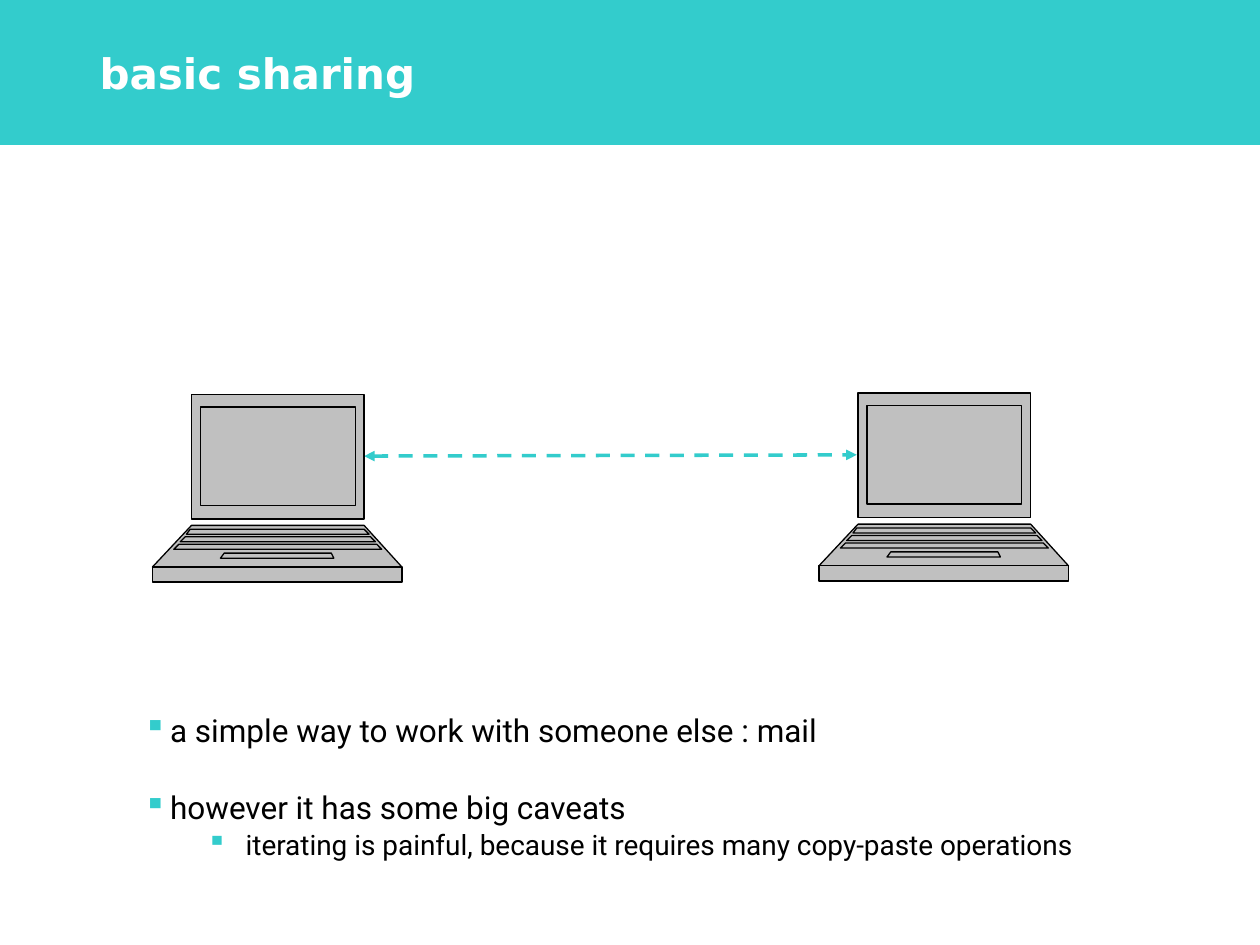
import copy

import pptx
import pptx.dml.color
import pptx.enum.dml
import pptx.enum.shapes
import pptx.enum.text
import pptx.oxml.ns
import pptx.util
from lxml import etree

Inches = pptx.util.Inches
Pt = pptx.util.Pt
qn = pptx.oxml.ns.qn

COLORS = {"accent": "33CCCC", "casing": "C0C0C0", "ink": "000000", "paper": "FFFFFF"}

LAPTOP_PANELS = {
    "screen": (0, 0.99, 0.31, 1.68, 0.31, 1.68),
    "deck": (1.04, 1.37, 0.31, 1.68, 0, 1.98),
    "base": (1.37, 1.49, 0, 1.98, 0, 1.98),
    "display": (0.1, 0.88, 0.38, 1.61, 0.38, 1.61),
    "top keys": (1.07, 1.11, 0.3, 1.68, 0.27, 1.72),
    "touchpad": (1.26, 1.3, 0.57, 1.42, 0.54, 1.44),
    "middle keys": (1.13, 1.17, 0.26, 1.73, 0.22, 1.77),
    "bottom keys": (1.19, 1.23, 0.21, 1.78, 0.17, 1.82),
}
LAPTOPS = [(1.21, 3.13), (6.5, 3.12)]

BULLETS = [
    ("a simple way to work with someone else : mail", 0, 22.8),
    ("however it has some big caveats", 0, 0.6),
    ("iterating is painful, because it requires many copy-paste operations", 1, 0),
]
BULLET_LEVELS = [(18, 0.21, -0.21), (16, 0.81, -0.31)]


def rgb(name):
    """Return the named palette colour."""
    return pptx.dml.color.RGBColor.from_string(COLORS[name])


class SlideBuilder:
    """Draws styled elements on the current slide."""

    def __init__(self, slide):
        """Keep the slide and its fonts."""
        self.slide = slide
        self.title_font = "DejaVu Sans"
        self.body_font = "Roboto"

    def clear_margins(self, frame):
        """Remove insets and automatic fitting from a text frame."""
        frame.margin_left = frame.margin_right = 0
        frame.margin_top = frame.margin_bottom = 0
        frame.word_wrap = True
        frame.auto_size = pptx.enum.text.MSO_AUTO_SIZE.NONE

    def styled_run(self, paragraph, text, font_name, size, color, bold=False):
        """Add one formatted run."""
        run = paragraph.add_run()
        run.text = text
        run.font.name = font_name
        run.font.size = Pt(size)
        run.font.bold = bold
        run.font.color.rgb = rgb(color)

    def indent(self, paragraph, margin, first_line):
        """Set the left margin and first line indent."""
        properties = paragraph._p.get_or_add_pPr()
        properties.set("marL", str(Inches(margin)))
        properties.set("indent", str(Inches(first_line)))
        return properties

    def title(self, text):
        """Turn the title placeholder into the header band."""
        band = self.slide.shapes.title
        band.left, band.top, band.width, band.height = 0, 0, Inches(10), Inches(1.15)
        band.fill.solid()
        band.fill.fore_color.rgb = rgb("accent")
        frame = band.text_frame
        self.clear_margins(frame)
        frame.vertical_anchor = pptx.enum.text.MSO_ANCHOR.MIDDLE
        heading = frame.paragraphs[0]
        heading.alignment = pptx.enum.text.PP_ALIGN.LEFT
        self.indent(heading, 0.79, 0)
        self.styled_run(heading, text, self.title_font, 24, "paper", bold=True)

    def bullets(self, left, top, width, height, items):
        """Add a bulleted list of (text, level, space after) items."""
        box = self.slide.shapes.add_textbox(
            Inches(left), Inches(top), Inches(width), Inches(height))
        frame = box.text_frame
        self.clear_margins(frame)
        for index, (text, level, gap) in enumerate(items):
            point = frame.add_paragraph() if index else frame.paragraphs[0]
            size, margin, first_line = BULLET_LEVELS[level]
            point.level = level
            properties = self.indent(point, margin, first_line)
            bullet_color = etree.SubElement(properties, qn("a:buClr"))
            etree.SubElement(bullet_color, qn("a:srgbClr"), val=COLORS["accent"])
            etree.SubElement(properties, qn("a:buChar"), char="▪")
            point.space_after = Pt(gap)
            self.styled_run(point, text, self.body_font, size, "ink")

    def laptop(self, left, top):
        """Draw a laptop whose panels are separately filled outlines."""
        builder = None
        for upper, lower, upper_left, upper_right, lower_left, lower_right in LAPTOP_PANELS.values():
            corners = [(Inches(x), Inches(y)) for x, y in (
                (upper_left, upper), (upper_right, upper),
                (lower_right, lower), (lower_left, lower))]
            if builder is None:
                builder = self.slide.shapes.build_freeform(*corners[0])
            else:
                builder.move_to(*corners[0])
            builder.add_line_segments(corners[1:], close=True)
        computer = builder.convert_to_shape(Inches(left), Inches(top))
        self.split_outlines(computer)
        computer.shadow.inherit = False
        computer.fill.solid()
        computer.fill.fore_color.rgb = rgb("casing")
        computer.line.color.rgb = rgb("ink")
        computer.line.width = Pt(0.75)

    def split_outlines(self, shape):
        """Give every closed outline its own fill."""
        combined = shape._element.xpath(".//a:pathLst/a:path")[0]
        outlines = combined.getparent()
        template = copy.deepcopy(combined)
        for step in list(template):
            template.remove(step)
        for step in list(combined):
            if step.tag == qn("a:moveTo"):
                outline = copy.deepcopy(template)
                outlines.append(outline)
            outline.append(step)
        outlines.remove(combined)

    def exchange_arrow(self, start, end):
        """Draw a dashed line with an arrowhead at both ends."""
        link = self.slide.shapes.add_connector(
            pptx.enum.shapes.MSO_CONNECTOR.STRAIGHT,
            *(Inches(value) for value in start + end))
        link.line.color.rgb = rgb("accent")
        link.line.width = Pt(2)
        link.line.dash_style = pptx.enum.dml.MSO_LINE.DASH
        stroke = link.line._get_or_add_ln()
        for tip in ("a:headEnd", "a:tailEnd"):
            etree.SubElement(stroke, qn(tip), type="triangle")
        etree.SubElement(link._element.spPr, qn("a:effectLst"))


def main():
    """Build and save the slide."""
    deck = pptx.Presentation()
    deck.slide_width, deck.slide_height = Inches(10), Inches(7.5)
    builder = SlideBuilder(deck.slides.add_slide(deck.slide_layouts[5]))
    builder.exchange_arrow((2.89, 3.62), (6.8, 3.61))
    builder.title("basic sharing")
    builder.bullets(1.14, 5.64, 7.8, 1.5, BULLETS)
    for left, top in LAPTOPS:
        builder.laptop(left, top)
    deck.save("out.pptx")


if __name__ == "__main__":
    main()
